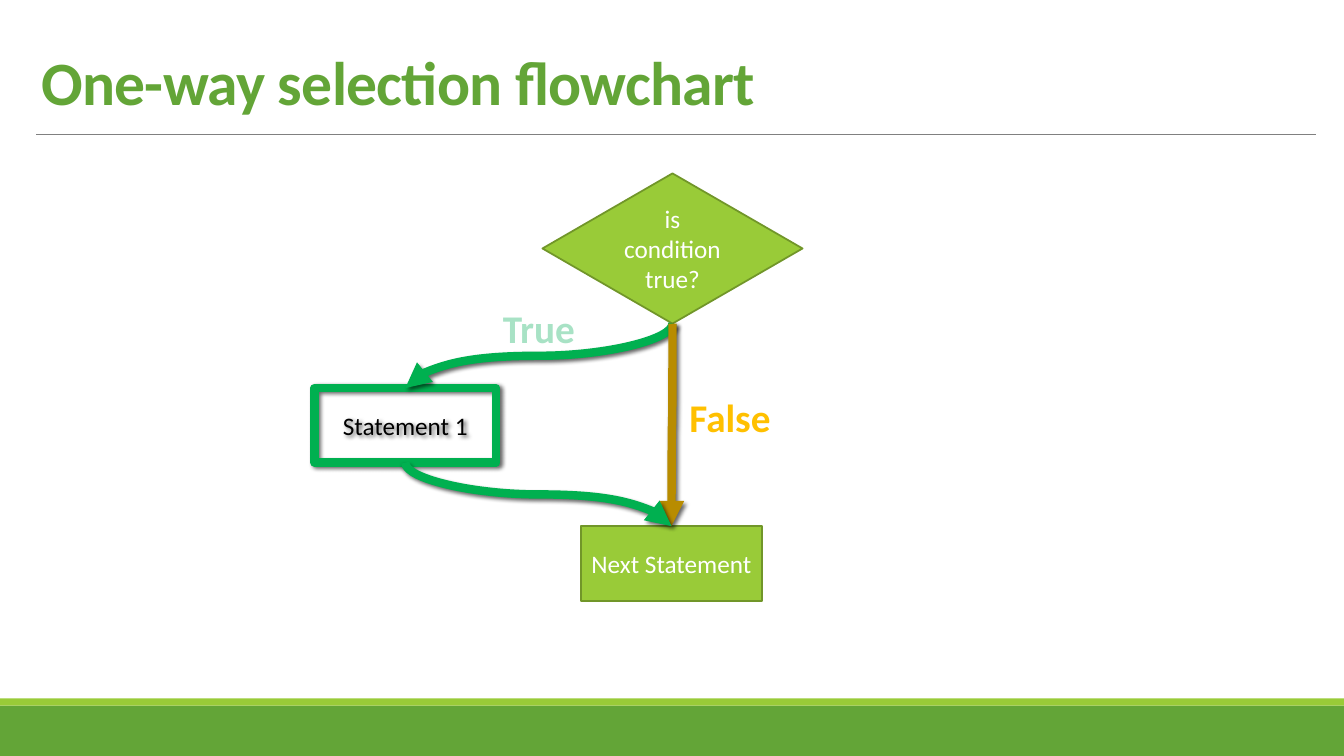
import pptx
import pptx.util
import pptx.dml.color
import pptx.enum.shapes
import pptx.enum.text
import pptx.oxml
import pptx.oxml.ns

SCALE = 9144  # EMU in one px, at 100 px to the inch
SHAPE = pptx.enum.shapes.MSO_SHAPE
CURVE = pptx.enum.shapes.MSO_CONNECTOR.CURVE
ANCHOR = pptx.enum.text.MSO_ANCHOR
ALIGN = pptx.enum.text.PP_ALIGN
NS = pptx.oxml.ns.nsdecls("a")


class Theme:
    font = "Calibri"
    green, lime, edge = "63A537", "99CB38", "719629"
    true, false = "00B050", "B88C00"
    mint, gold = "A8E2C5", "FFC000"
    grey, white, black = "808080", "FFFFFF", "000000"
    title, label, body = 44, 28, 18
    thick, thin, hair = 6, 1.25, 0.5


SHADOW = (
    f'<a:effectLst {NS}><a:outerShdw blurRad="38100" dist="25400" dir="2700000" '
    f'algn="tl" rotWithShape="0"><a:srgbClr val="{Theme.black}">'
    '<a:alpha val="60000"/></a:srgbClr></a:outerShdw></a:effectLst>'
)
BARE = f"<a:effectLst {NS}/>"
ARROW = f'<a:tailEnd {NS} type="triangle"/>'


def px(*sizes):
    return [pptx.util.Emu(size * SCALE) for size in sizes]


def rgb(code):
    return pptx.dml.color.RGBColor.from_string(code)


def apply(target, values):
    for name, value in values.items():
        setattr(target, name, value)


def effect(item, xml):
    props = item._element.spPr
    for old in props.findall(pptx.oxml.ns.qn("a:effectLst")):
        props.remove(old)
    props.append(pptx.oxml.parse_xml(xml))


def stroke(item, color, width):
    item.line.color.rgb = rgb(color)
    item.line.width = pptx.util.Pt(width)


def write(frame, lines, size, color, bold=False, align=ALIGN.CENTER):
    """Fill a text frame, one paragraph a line."""
    for i, words in enumerate(lines):
        para = frame.add_paragraph() if i else frame.paragraphs[0]
        para.alignment = align
        run = para.add_run()
        run.text = words
        apply(run.font, {"name": Theme.font, "size": pptx.util.Pt(size), "bold": bold})
        run.font.color.rgb = rgb(color)


def add_box(slide, kind, place, fill=None, line=None, lines=(), ink=Theme.white):
    box = slide.shapes.add_shape(kind, *px(*place))
    box.shadow.inherit = False
    if fill:
        box.fill.solid()
        box.fill.fore_color.rgb = rgb(fill)
    else:
        box.fill.background()
    if line:
        stroke(box, *line)
    else:
        box.line.fill.background()
    apply(box.text_frame, {"word_wrap": True, "vertical_anchor": ANCHOR.MIDDLE})
    write(box.text_frame, lines, Theme.body, ink)
    return box


def add_text(slide, place, words, size, color, align=ALIGN.CENTER, **form):
    frame = slide.shapes.add_textbox(*px(*place)).text_frame
    apply(frame, form)
    write(frame, [words], size, color, True, align)
    return frame


def add_rule(slide, left, right, y):
    kind = pptx.enum.shapes.MSO_CONNECTOR.STRAIGHT
    rule = slide.shapes.add_connector(kind, *px(left, y, right, y))
    stroke(rule, Theme.grey, Theme.hair)
    effect(rule, BARE)


def add_flow(slide, start, end, color):
    """Curve from the foot of one box to the head of the next."""
    flow = slide.shapes.add_connector(CURVE, 0, 0, 0, 0)
    flow.begin_connect(start, 2)
    flow.end_connect(end, 0)
    x1, x2 = start.left + start.width // 2, end.left + end.width // 2
    y1, y2 = start.top + start.height, end.top
    # The curve leaves downward, so its frame is turned a quarter
    long, wide = y2 - y1, abs(x2 - x1)
    frame = flow._element.spPr.find(pptx.oxml.ns.qn("a:xfrm"))
    frame.attrib.clear()
    if x2 > x1:
        frame.set("rot", "16200000")
        frame.set("flipH", "1")
    else:
        frame.set("rot", "5400000")
    apply(flow, {
        "left": (x1 + x2 - long) // 2, "top": (y1 + y2 - wide) // 2,
        "width": long, "height": wide,
    })
    stroke(flow, color, Theme.thick)
    flow.line._get_or_add_ln().append(pptx.oxml.parse_xml(ARROW))
    effect(flow, SHADOW)


def main():
    deck = pptx.Presentation()
    wide, high = px(1333, 750)
    apply(deck, {"slide_width": wide, "slide_height": high})
    slide = deck.slides.add_slide(deck.slide_layouts[6])

    # Footer bands and title
    add_box(slide, SHAPE.RECTANGLE, (0, 700, 1333, 50), Theme.green)
    add_box(slide, SHAPE.RECTANGLE, (0, 693, 1333, 7), Theme.lime)
    add_rule(slide, 36, 1305, 133)
    title = add_text(slide, (31, 31, 1189, 91), "One-way selection flowchart",
                     Theme.title, Theme.green, ALIGN.LEFT,
                     word_wrap=True, vertical_anchor=ANCHOR.BOTTOM)
    para = title.paragraphs[0]
    para.line_spacing = 0.85
    para.runs[0]._r.get_or_add_rPr().set("spc", "-50")

    # Flowchart steps
    edge = (Theme.edge, Theme.thin)
    test = add_box(slide, SHAPE.DIAMOND, (538, 172, 258, 149), Theme.lime, edge,
                   ["is condition", "true?"])
    step = add_box(slide, SHAPE.RECTANGLE, (312, 385, 180, 74), None,
                   (Theme.true, Theme.thick), ["Statement 1"], Theme.black)
    effect(step, SHADOW)
    last = add_box(slide, SHAPE.RECTANGLE, (576, 522, 180, 74), Theme.lime, edge,
                   ["Next Statement"])

    # Branches and their labels
    add_flow(slide, test, step, Theme.true)
    add_flow(slide, test, last, Theme.false)
    add_flow(slide, step, last, Theme.true)
    for place, words, color in (
        ((488, 297, 93, 57), "True", Theme.mint),
        ((673, 385, 102, 57), "False", Theme.gold),
    ):
        add_text(slide, place, words, Theme.label, color, word_wrap=False)

    deck.save("out.pptx")


if __name__ == "__main__":
    main()
